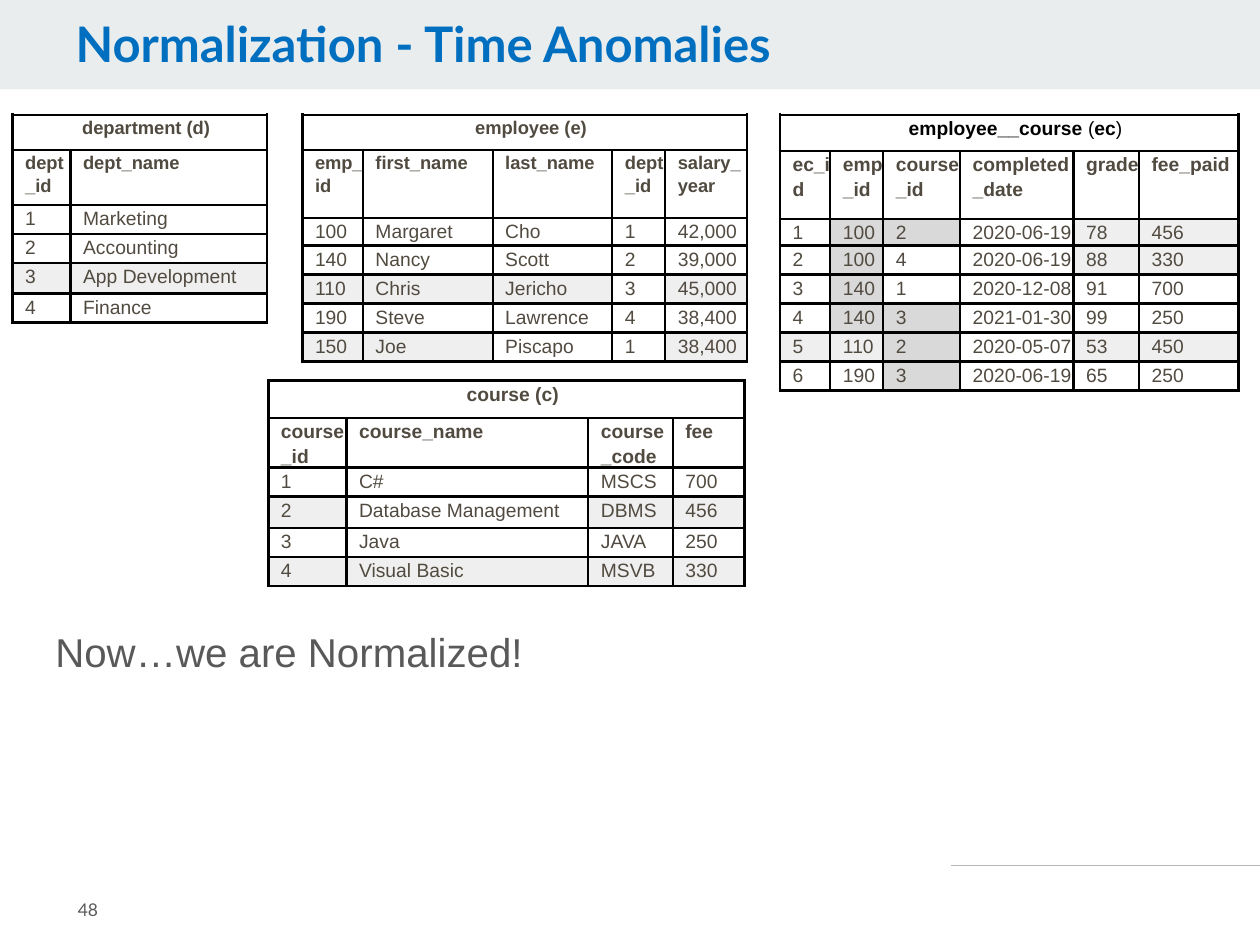
"""Build the slide of four normalized tables."""
import pptx
import pptx.dml.color
import pptx.enum.shapes
import pptx.enum.text
import pptx.oxml
import pptx.oxml.ns
import pptx.util
import lxml.etree

Inches = pptx.util.Inches
Pt = pptx.util.Pt
INK = "514A40"
GREY = "595959"
SHADES = {"l": "EFEFEF", "d": "D9D9D9"}


def tint(code):
    return pptx.dml.color.RGBColor.from_string(code)


def write(para, text, size, code, bold=False, face="Arial", space=1.15):
    para.line_spacing = space
    run = para.add_run()
    run.text = text
    run.font.color.rgb = tint(code)
    looks = {"size": Pt(size), "bold": bold, "name": face}
    for key, value in looks.items():
        setattr(run.font, key, value)


tables = [
    {"name": "employee (e)", "at": (2.4, 0.91), "head": 10.5, "ink": INK,
     "cols": [0.48, 1.03, 0.95, 0.42, 0.65],
     "rows": [0.28, 0.54, 0.22, 0.23, 0.23, 0.23, 0.23],
     "data": ["emp_id|first_name|last_name|dept_id|salary_year",
              "100|Margaret|Cho|1|42,000",
              "140|Nancy|Scott|2|39,000",
              "110|Chris|Jericho|3|45,000",
              "190|Steve|Lawrence|4|38,400",
              "150|Joe|Piscapo|1|38,400"],
     "fill": {4: "lll-l", 6: "ll--l"}},
    {"name": "department (d)", "at": (0.1, 0.91), "head": 10.5, "ink": INK,
     "cols": [0.46, 1.56],
     "rows": [0.28, 0.44, 0.23, 0.23, 0.24, 0.23],
     "data": ["dept_id|dept_name", "1|Marketing", "2|Accounting",
              "3|App Development", "4|Finance"],
     "fill": {4: "ll"}},
    {"name": "employee__course |(|ec|)", "at": (6.19, 0.91), "head": 11, "ink": "000000",
     "cols": [0.4, 0.42, 0.61, 0.9, 0.52, 0.79],
     "rows": [0.29, 0.54, 0.21, 0.23, 0.23, 0.23, 0.23, 0.23],
     "data": ["ec_id|emp_id|course_id|completed_date|grade|fee_paid",
              "1|100|2|2020-06-19|78|456",
              "2|100|4|2020-06-19|88|330",
              "3|140|1|2020-12-08|91|700",
              "4|140|3|2021-01-30|99|250",
              "5|110|2|2020-05-07|53|450",
              "6|190|3|2020-06-19|65|250"],
     "fill": {2: "-dd-ll", 3: "-d--ll", 4: "-d----", 5: "-dd---",
              6: "lld-ll", 7: "--d---"}},
    {"name": "course (c)", "at": (2.13, 3.02), "head": 11, "ink": INK,
     "cols": [0.62, 1.92, 0.67, 0.57],
     "rows": [0.3, 0.39, 0.23, 0.25, 0.23, 0.23],
     "data": ["course_id|course_name|course_code|fee",
              "1|C#|MSCS|700",
              "2|Database Management|DBMS|456",
              "3|Java|JAVA|250",
              "4|Visual Basic|MSVB|330"],
     "fill": {3: "l-ll", 5: "llll"}},
]

deck = pptx.Presentation()
deck.slide_width, deck.slide_height = Inches(10), Inches(7.5)
slide = deck.slides.add_slide(deck.slide_layouts[5])
shapes = slide.shapes

band = shapes.add_shape(pptx.enum.shapes.MSO_SHAPE.RECTANGLE, 0, 0, Inches(10), Inches(0.71))
band.shadow.inherit = False
band.fill.solid()
band.fill.fore_color.rgb = tint("E9EDEE")
band.line.fill.background()
shapes.element.insert(2, band.element)

rule = shapes.add_connector(pptx.enum.shapes.MSO_CONNECTOR.STRAIGHT,
                            Inches(7.55), Inches(6.87), Inches(10), Inches(6.87))
rule.line.color.rgb = tint("B7B7B7")
rule.line.width = Pt(0.75)
lxml.etree.SubElement(rule.element.spPr, pptx.oxml.ns.qn("a:effectLst"))

title = shapes.title
note = shapes.add_textbox(0, 0, 0, 0)
page = shapes.add_textbox(0, 0, 0, 0)
TOP = pptx.enum.text.MSO_ANCHOR.TOP
MID = pptx.enum.text.MSO_ANCHOR.MIDDLE
for box, place, anchor, text, style in [
    (title, (0.5, 0.11, 7.88, 0.55), TOP, "Normalization - Time Anomalies",
     {"size": 28, "code": "006FBF", "bold": True, "face": "Lato", "space": 0.9}),
    (note, (0.34, 4.87, 9.42, 0.55), TOP, "Now…we are Normalized!",
     {"size": 23, "code": GREY}),
    (page, (0.52, 6.93, 1.23, 0.57), MID, "48",
     {"size": 10, "code": GREY, "face": "Lato", "space": 1.0}),
]:
    for key, value in zip(("left", "top", "width", "height"), place):
        setattr(box, key, Inches(value))
    frame = box.text_frame
    traits = {"word_wrap": True, "vertical_anchor": anchor,
              "auto_size": pptx.enum.text.MSO_AUTO_SIZE.NONE}
    for key, value in traits.items():
        setattr(frame, key, value)
    frame.paragraphs[0].alignment = pptx.enum.text.PP_ALIGN.LEFT
    write(frame.paragraphs[0], text, **style)

for item in tables:
    cols, rows = item["cols"], item["rows"]
    left, top = item["at"]
    grid = shapes.add_table(len(rows), len(cols), Inches(left), Inches(top),
                            Inches(sum(cols)), Inches(sum(rows))).table
    grid.first_row = grid.horz_banding = False
    for col, width in zip(grid.columns, cols):
        col.width = Inches(width)
    for row, height in zip(grid.rows, rows):
        row.height = Inches(height)

    for r, row in enumerate(grid.rows):
        marks = item["fill"].get(r, "-" * len(cols))
        for cell, mark in zip(row.cells, marks):
            sides = {"margin_left": Inches(0.1), "margin_right": 0,
                     "margin_top": 0, "margin_bottom": 0}
            for key, value in sides.items():
                setattr(cell, key, value)
            props = cell._tc.get_or_add_tcPr()
            for edge in ("lnL", "lnR", "lnT", "lnB"):
                line = lxml.etree.SubElement(props, pptx.oxml.ns.qn(f"a:{edge}"), w=str(Pt(1.5)))
                fill = lxml.etree.SubElement(line, pptx.oxml.ns.qn("a:solidFill"))
                lxml.etree.SubElement(fill, pptx.oxml.ns.qn("a:srgbClr"), val="000000")
            if mark in SHADES:
                cell.fill.solid()
                cell.fill.fore_color.rgb = tint(SHADES[mark])
            else:
                cell.fill.background()

    grid.cell(0, 0).merge(grid.cell(0, len(cols) - 1))
    para = grid.cell(0, 0).text_frame.paragraphs[0]
    para.alignment = pptx.enum.text.PP_ALIGN.CENTER
    for i, part in enumerate(item["name"].split("|")):
        write(para, part, item["head"], item["ink"], bold=i % 2 == 0)
    for r, texts in enumerate(item["data"], 1):
        for c, text in enumerate(texts.split("|")):
            write(grid.cell(r, c).text_frame.paragraphs[0], text,
                  item["head"] if r == 1 else 11, INK, bold=r == 1)

deck.save("out.pptx")
